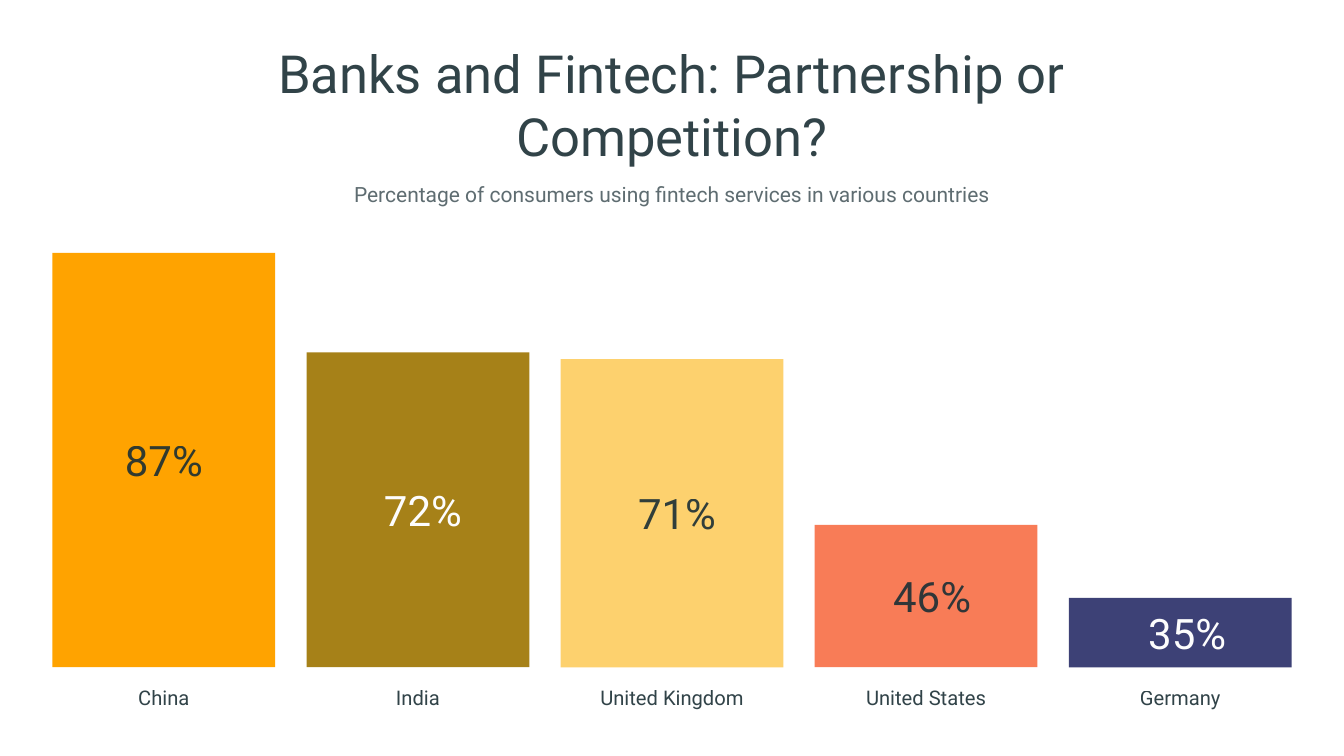
from dataclasses import dataclass

import pptx
import pptx.dml.color
import pptx.enum.shapes
import pptx.enum.text
import pptx.oxml
import pptx.oxml.ns
import pptx.util

SLIDE_WIDTH, SLIDE_HEIGHT = 13.33, 7.5


@dataclass(frozen=True)
class Theme:
    font: str = "Roboto"
    ink: str = "1B2F35"
    light: str = "FDFDFD"
    background: str = "FFFFFF"
    strong: int = 90
    muted: int = 70
    title_size: float = 37.5
    value_size: float = 30
    subtitle_size: float = 15
    category_size: float = 14.4


@dataclass(frozen=True)
class Bar:
    country: str
    percent: int
    fill: str
    light_text: bool = False
    label_shift: float = 0


@dataclass(frozen=True)
class Box:
    left: float
    top: float
    width: float
    height: float

    def lengths(self):
        return [pptx.util.Inches(value) for value in
                (self.left, self.top, self.width, self.height)]


THEME = Theme()
BARS = [
    Bar("China", 87, "FFA300"),
    Bar("India", 72, "A68118", light_text=True, label_shift=0.05),
    Bar("United Kingdom", 71, "FDD16E", label_shift=0.05),
    Bar("United States", 46, "F87C57", label_shift=0.06),
    Bar("Germany", 35, "3D4176", light_text=True, label_shift=0.07),
]
BASE_PERCENT = 24.55  # value at the foot of the bars
GAP = 0.31
VALUE_HEIGHT = 0.49
CATEGORY_OFFSET, CATEGORY_HEIGHT = 0.14, 0.28


def write_text(shape, text, *, size, line_height, color=THEME.ink, opacity=THEME.strong):
    frame = shape.text_frame
    frame.word_wrap = True
    frame.auto_size = pptx.enum.text.MSO_AUTO_SIZE.NONE
    frame.vertical_anchor = pptx.enum.text.MSO_ANCHOR.TOP
    frame.margin_left = frame.margin_top = frame.margin_right = frame.margin_bottom = 0
    paragraph = frame.paragraphs[0]
    paragraph.alignment = pptx.enum.text.PP_ALIGN.CENTER
    paragraph.line_spacing = pptx.util.Pt(line_height)
    paragraph.space_before = pptx.util.Pt(0)
    run = paragraph.add_run()
    run.text = text
    run.font.name = THEME.font
    run.font.size = pptx.util.Pt(size)
    run.font.color.rgb = pptx.dml.color.RGBColor.from_string(color)
    if opacity < 100:
        color_element = run.font.fill._xPr.find(".//" + pptx.oxml.ns.qn("a:srgbClr"))
        alpha = color_element.makeelement(pptx.oxml.ns.qn("a:alpha"),
                                          {"val": str(opacity * 1000)})
        color_element.append(alpha)


def add_text(slide, box, text, **text_format):
    write_text(slide.shapes.add_textbox(*box.lengths()), text, **text_format)


def add_heading(slide, box):
    """Place the title in the middle of the box and the subtitle along its foot."""
    title_width, title_height = 9.01, 1.23
    subtitle_height = 0.29
    title = slide.shapes.title
    title_box = Box(box.left + (box.width - title_width) / 2, box.top,
                    title_width, title_height)
    title.left, title.top, title.width, title.height = title_box.lengths()
    write_text(title, "Banks and Fintech: Partnership or Competition?",
               size=THEME.title_size, line_height=44.4)
    subtitle_box = Box(box.left, box.top + box.height - subtitle_height,
                       box.width, subtitle_height)
    add_text(slide, subtitle_box,
             "Percentage of consumers using fintech services in various countries",
             size=THEME.subtitle_size, line_height=21, opacity=THEME.muted)


def add_bar(slide, box, bar):
    """Fill the box with one bar, its value in the middle and its country below."""
    shape = slide.shapes.add_shape(pptx.enum.shapes.MSO_SHAPE.RECTANGLE, *box.lengths())
    shape.shadow.inherit = False
    shape.fill.solid()
    shape.fill.fore_color.rgb = pptx.dml.color.RGBColor.from_string(bar.fill)
    shape.line.fill.background()
    category_box = Box(box.left, box.top + box.height + CATEGORY_OFFSET,
                       box.width, CATEGORY_HEIGHT)
    add_text(slide, category_box, bar.country,
             size=THEME.category_size, line_height=20.2)
    value_box = Box(box.left + bar.label_shift,
                    box.top + (box.height - VALUE_HEIGHT) / 2,
                    box.width, VALUE_HEIGHT)
    add_text(slide, value_box, f"{bar.percent}%", size=THEME.value_size, line_height=35.5,
             color=THEME.light if bar.light_text else THEME.ink,
             opacity=100 if bar.light_text else THEME.strong)


def add_bars(slide, box, bars):
    """Stand the bars on the foot of the box, the largest one filling its height."""
    pitch = (box.width + GAP) / len(bars)
    inches_per_percent = box.height / (max(bar.percent for bar in bars) - BASE_PERCENT)
    for column, bar in enumerate(bars):
        height = (bar.percent - BASE_PERCENT) * inches_per_percent
        bar_box = Box(box.left + column * pitch, box.top + box.height - height,
                      pitch - GAP, height)
        add_bar(slide, bar_box, bar)


def main():
    presentation = pptx.Presentation()
    presentation.slide_width = pptx.util.Inches(SLIDE_WIDTH)
    presentation.slide_height = pptx.util.Inches(SLIDE_HEIGHT)
    title_only = presentation.slide_layouts.get_by_name("Title Only")
    slide = presentation.slides.add_slide(title_only)
    slide.background.fill.solid()
    slide.background.fill.fore_color.rgb = pptx.dml.color.RGBColor.from_string(
        THEME.background)
    margin = 0.52
    add_heading(slide, Box(0, 0.42, SLIDE_WIDTH, 1.63))
    add_bars(slide, Box(margin, 2.51, SLIDE_WIDTH - 2 * margin, 4.11), BARS)
    presentation.save("out.pptx")


if __name__ == "__main__":
    main()
